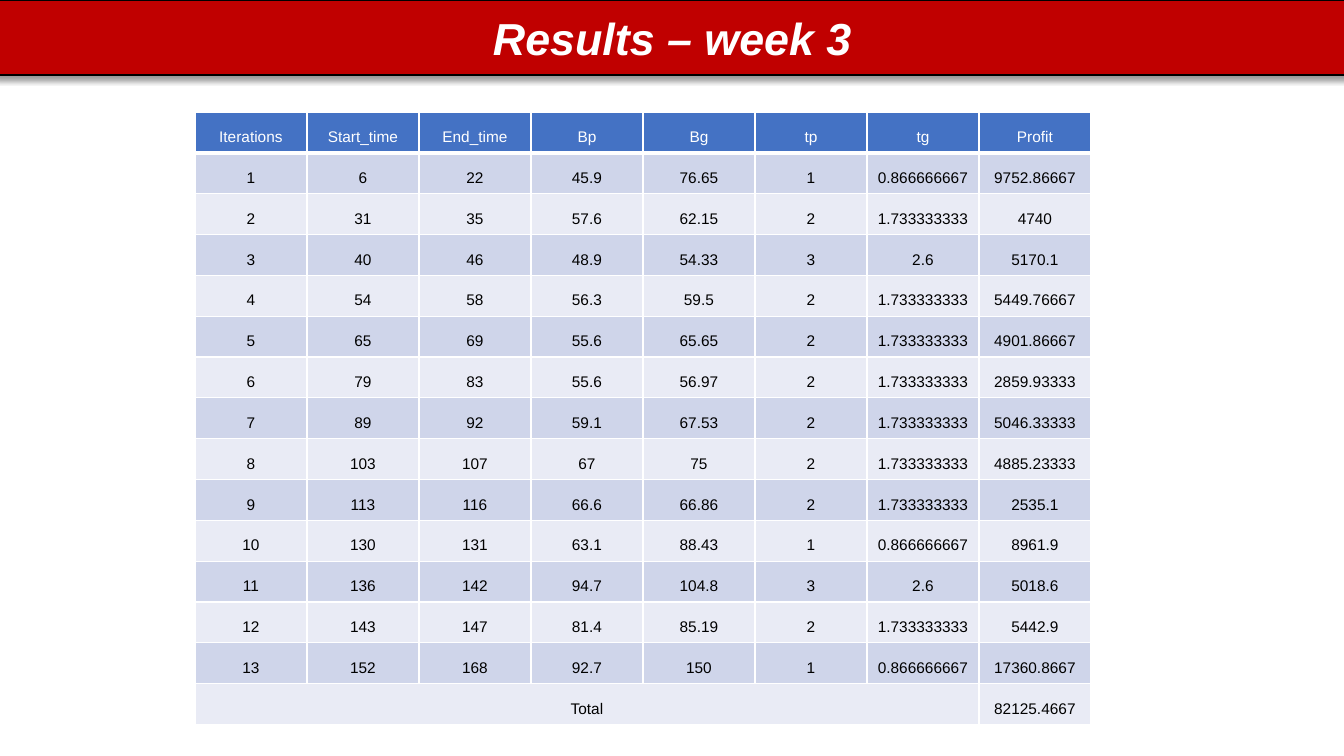
from lxml.etree import SubElement
from pptx import Presentation
from pptx.dml.color import RGBColor
from pptx.enum.shapes import MSO_SHAPE
from pptx.enum.text import MSO_ANCHOR, PP_ALIGN
from pptx.oxml.ns import qn
from pptx.util import Emu, Pt

EMU_PER_PX = 914400 / 100.8

COLORS = {
    "banner": "C00000",
    "black": "000000",
    "white": "FFFFFF",
    "header": "4472C4",
    "odd_row": "CFD5EA",
    "even_row": "E9EBF5",
}

TITLE_FONT = {"name": "Arial", "size": Pt(32), "bold": True, "italic": True}
CELL_FONT = {"name": "Arial", "size": Pt(11), "bold": False}
CELL_FORMAT = {
    "margin_left": Emu(9144),
    "margin_top": Emu(9144),
    "margin_right": Emu(9144),
    "margin_bottom": 0,
    "vertical_anchor": MSO_ANCHOR.MIDDLE,
}

HEADINGS = ["Iterations", "Start_time", "End_time", "Bp", "Bg", "tp", "tg", "Profit"]
RESULTS = [
    ["1", "6", "22", "45.9", "76.65", "1", "0.866666667", "9752.86667"],
    ["2", "31", "35", "57.6", "62.15", "2", "1.733333333", "4740"],
    ["3", "40", "46", "48.9", "54.33", "3", "2.6", "5170.1"],
    ["4", "54", "58", "56.3", "59.5", "2", "1.733333333", "5449.76667"],
    ["5", "65", "69", "55.6", "65.65", "2", "1.733333333", "4901.86667"],
    ["6", "79", "83", "55.6", "56.97", "2", "1.733333333", "2859.93333"],
    ["7", "89", "92", "59.1", "67.53", "2", "1.733333333", "5046.33333"],
    ["8", "103", "107", "67", "75", "2", "1.733333333", "4885.23333"],
    ["9", "113", "116", "66.6", "66.86", "2", "1.733333333", "2535.1"],
    ["10", "130", "131", "63.1", "88.43", "1", "0.866666667", "8961.9"],
    ["11", "136", "142", "94.7", "104.8", "3", "2.6", "5018.6"],
    ["12", "143", "147", "81.4", "85.19", "2", "1.733333333", "5442.9"],
    ["13", "152", "168", "92.7", "150", "1", "0.866666667", "17360.8667"],
]
TOTAL = ["Total", "", "", "", "", "", "", "82125.4667"]


def px(length):
    return Emu(round(length * EMU_PER_PX))


def color(name):
    return RGBColor.from_string(COLORS[name])


def apply_format(target, values):
    for name, value in values.items():
        setattr(target, name, value)


def write_text(text_frame, text, font_format, color_name, line_spacing=1.0):
    paragraph = text_frame.paragraphs[0]
    apply_format(paragraph, {"alignment": PP_ALIGN.CENTER, "line_spacing": line_spacing})
    run = paragraph.add_run()
    run.text = text
    apply_format(run.font, font_format)
    run.font.color.rgb = color(color_name)


def fill_solid(fill, color_name):
    fill.solid()
    fill.fore_color.rgb = color(color_name)


def add_shadow(shape):
    shape.shadow.inherit = False
    effects = shape._element.spPr.find(qn("a:effectLst"))
    shadow = SubElement(effects, qn("a:outerShdw"), blurRad=str(Pt(4)),
                        dist=str(Pt(3)), dir="5400000", algn="t", rotWithShape="0")
    shadow_color = SubElement(shadow, qn("a:srgbClr"), val=COLORS["black"])
    SubElement(shadow_color, qn("a:alpha"), val="40000")


def add_banner(slide, text, left, top, width, height):
    banner = slide.shapes.add_shape(
        MSO_SHAPE.RECTANGLE, px(left), px(top), px(width), px(height))
    fill_solid(banner.fill, "banner")
    banner.line.color.rgb = color("black")
    banner.line.width = Pt(1)
    add_shadow(banner)
    banner.text_frame.vertical_anchor = MSO_ANCHOR.MIDDLE
    write_text(banner.text_frame, text, TITLE_FONT, "white")


def add_borders(cell, top, bottom):
    properties = cell._tc.get_or_add_tcPr()
    for side, points in {"L": 1, "R": 1, "T": top, "B": bottom}.items():
        line = SubElement(properties, qn(f"a:ln{side}"), w=str(Pt(points)))
        line_fill = SubElement(line, qn("a:solidFill"))
        SubElement(line_fill, qn("a:srgbClr"), val=COLORS["white"])


def row_colors(row_index):
    if row_index == 0:
        return "header", "white"
    return ("odd_row" if row_index % 2 else "even_row"), "black"


def add_results_table(slide, rows, left, top, width, height):
    table = slide.shapes.add_table(
        len(rows), len(rows[0]), px(left), px(top), px(width), px(height)).table
    for row_index, values in enumerate(rows):
        fill_name, text_name = row_colors(row_index)
        for column_index, value in enumerate(values):
            cell = table.cell(row_index, column_index)
            apply_format(cell, CELL_FORMAT)
            add_borders(cell, top=3 if row_index == 1 else 1,
                        bottom=3 if row_index == 0 else 1)
            fill_solid(cell.fill, fill_name)
            if value:
                write_text(cell.text_frame, value, CELL_FONT, text_name, 1.5)
    last_row = len(rows) - 1
    table.cell(last_row, 0).merge(table.cell(last_row, len(rows[0]) - 2))


def main():
    presentation = Presentation()
    apply_format(presentation, {"slide_width": px(1344), "slide_height": px(756)})
    slide = presentation.slides.add_slide(presentation.slide_layouts[6])
    add_banner(slide, "Results – week 3", -5, 0, 1355, 75)
    add_results_table(slide, [HEADINGS, *RESULTS, TOTAL], 195, 112, 896, 613)
    presentation.save("out.pptx")


if __name__ == "__main__":
    main()
